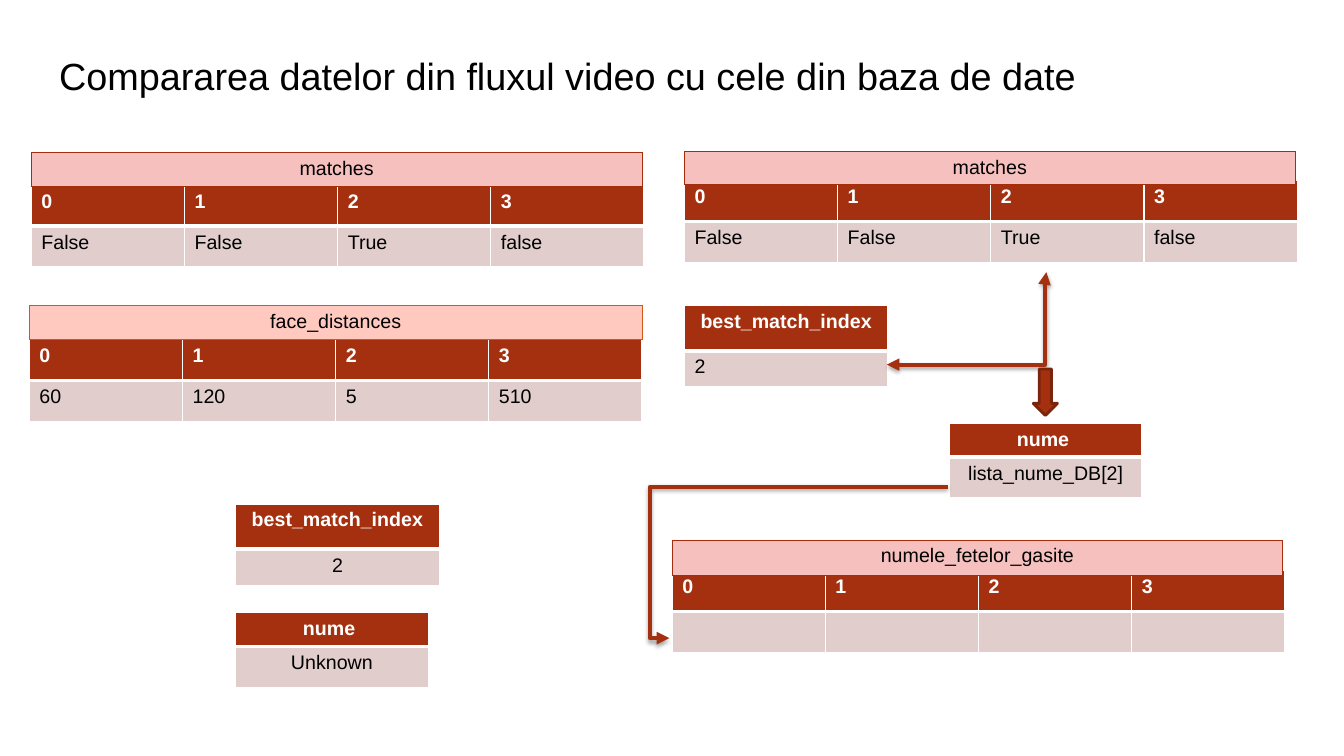
from dataclasses import dataclass

from lxml import etree
from pptx import Presentation
from pptx import util as u
from pptx.dml.color import RGBColor
from pptx.enum import shapes, text
from pptx.oxml import parse_xml
from pptx.oxml.ns import nsdecls, qn


@dataclass(frozen=True)
class Theme:
    font: str = "Arial"
    title_size: int = 27
    body_size: int = 14
    black: str = "000000"
    white: str = "FFFFFF"
    accent: str = "A5300F"
    accent_dark: str = "7A240B"
    body_fill: str = "E1CDCC"
    rose: str = "F6C0BE"
    rose_line: str = "A52D0B"
    peach: str = "FFC9BF"
    peach_line: str = "D55511"


def write(frame, content, *, font, size, color, bold=False, align=text.PP_ALIGN.LEFT, spacing=None):
    paragraph = frame.paragraphs[0]
    paragraph.alignment = align
    if spacing:
        paragraph.line_spacing = spacing
    run = paragraph.add_run()
    run.text = content
    run.font.name = font
    run.font.size = u.Pt(size)
    run.font.bold = bold
    run.font.color.rgb = RGBColor.from_string(color)


def cm(*lengths):
    return [u.Cm(length) for length in lengths]


class SlideBuilder:
    def __init__(self, slide, theme):
        self.slide = slide
        self.theme = theme

    def title(self, content, left, top, width, height):
        shape = self.slide.shapes.add_textbox(*cm(left, top, width, height))
        frame = shape.text_frame
        frame.word_wrap = True
        frame.vertical_anchor = text.MSO_ANCHOR.MIDDLE
        write(frame, content, font=self.theme.font, size=self.theme.title_size,
              color=self.theme.black, spacing=0.9)

    def borders(self, cell, color, widths):
        properties = cell._tc.get_or_add_tcPr()
        for index, (side, width) in enumerate(zip("LRTB", widths)):
            properties.insert(index, parse_xml(
                f'<a:ln{side} {nsdecls("a")} w="{u.Pt(width)}"><a:solidFill>'
                f'<a:srgbClr val="{color}"/></a:solidFill></a:ln{side}>'))

    def empty_table(self, left, top, column_width, columns, heights):
        shape = self.slide.shapes.add_table(
            len(heights), columns, *cm(left, top, column_width * columns, sum(heights)))
        table = shape.table
        table.first_row = table.horz_banding = False
        for column in table.columns:
            column.width = u.Cm(column_width)
        for row, height in zip(table.rows, heights):
            row.height = u.Cm(height)
        return table

    def cell(self, cell, content, fill, color, line, widths, bold=False, align=text.PP_ALIGN.LEFT):
        cell.fill.solid()
        cell.fill.fore_color.rgb = RGBColor.from_string(fill)
        self.borders(cell, line, widths)
        if content:
            write(cell.text_frame, content, font=self.theme.font, size=self.theme.body_size,
                  color=color, bold=bold, align=align)

    def table(self, headers, values, left, top, column_width=3.86, heights=(1.03, 1.03),
              header_align=text.PP_ALIGN.LEFT, value_align=text.PP_ALIGN.LEFT):
        theme = self.theme
        table = self.empty_table(left, top, column_width, len(headers), heights)
        for index, (header, value) in enumerate(zip(headers, values)):
            self.cell(table.cell(0, index), header, theme.accent, theme.white, theme.white,
                      (1, 1, 1, 3), bold=True, align=header_align)
            self.cell(table.cell(1, index), value, theme.body_fill, theme.black, theme.white,
                      (1, 1, 3, 1), align=value_align)

    def caption(self, content, left, top, width=15.39, height=0.84, fill=None, line=None):
        theme = self.theme
        table = self.empty_table(left, top, width, 1, [height])
        self.cell(table.cell(0, 0), content, fill or theme.rose, theme.black,
                  line or theme.rose_line, (0.75,) * 4, align=text.PP_ALIGN.CENTER)

    def elbow(self, start, end, bend, both_ends=False):
        connector = self.slide.shapes.add_connector(
            shapes.MSO_CONNECTOR.ELBOW, *cm(*start, *end))
        connector.line.color.rgb = RGBColor.from_string(self.theme.accent)
        connector.line.width = u.Pt(3)
        properties = connector._element.spPr
        guides = properties.find(qn("a:prstGeom")).get_or_add_avLst()
        etree.SubElement(guides, qn("a:gd"), name="adj1", fmla=f"val {round(bend * 100000)}")
        line = connector.line._get_or_add_ln()
        for tag in ["a:headEnd", "a:tailEnd"] if both_ends else ["a:tailEnd"]:
            etree.SubElement(line, qn(tag), type="triangle")
        properties.append(parse_xml(
            f'<a:effectLst {nsdecls("a")}><a:outerShdw blurRad="{u.Pt(3.1)}" '
            f'dist="{u.Pt(1.8)}" dir="5400000" rotWithShape="0"><a:srgbClr '
            f'val="{self.theme.black}"><a:alpha val="35000"/></a:srgbClr>'
            '</a:outerShdw></a:effectLst>'))

    def down_arrow(self, left, top, width, height):
        shape = self.slide.shapes.add_shape(
            shapes.MSO_SHAPE.DOWN_ARROW, *cm(left, top, width, height))
        shape.shadow.inherit = False
        shape.fill.solid()
        shape.fill.fore_color.rgb = RGBColor.from_string(self.theme.accent)
        shape.line.color.rgb = RGBColor.from_string(self.theme.accent_dark)
        shape.line.width = u.Pt(2)


def main():
    presentation = Presentation()
    presentation.slide_width, presentation.slide_height = cm(33.87, 19.05)
    slide = presentation.slides.add_slide(presentation.slide_layouts[6])
    theme = Theme()
    builder = SlideBuilder(slide, theme)
    center = text.PP_ALIGN.CENTER
    indexes = ["0", "1", "2", "3"]
    matches = ["False", "False", "True", "false"]
    best_match = {"column_width": 5.13, "heights": (1.14, 0.91), "header_align": center}
    name = {"column_width": 4.85, "heights": (0.85, 1.03),
            "header_align": center, "value_align": center}

    builder.title("Compararea datelor din fluxul video cu cele din baza de date",
                  1.24, 1.17, 26.34, 1.63)

    builder.table(indexes, matches, 0.79, 4.67)
    builder.caption("matches", 0.79, 3.84)
    builder.table(indexes, ["60", "120", "5", "510"], 0.74, 8.56)
    builder.caption("face_distances", 0.74, 7.7, width=15.44,
                    fill=theme.peach, line=theme.peach_line)
    builder.table(["best_match_index"], ["2"], 5.94, 12.7, value_align=center, **best_match)
    builder.table(["nume "], ["Unknown"], 5.94, 15.44, **name)

    builder.table(indexes, matches, 17.25, 4.55)
    builder.caption("matches", 17.25, 3.81)
    builder.table(["best_match_index"], ["2"], 17.25, 7.7, **best_match)
    builder.table(["nume "], ["lista_nume_DB[2]"], 23.93, 10.67, **name)
    builder.table(indexes, [""] * 4, 16.94, 14.38)
    builder.caption("numele_fetelor_gasite", 16.94, 13.61, height=0.89)

    builder.elbow((22.35, 9.19), (26.37, 6.86), 0.99, both_ends=True)
    builder.down_arrow(26.04, 9.3, 0.61, 1.17)
    builder.elbow((23.88, 12.27), (16.87, 16.08), 1.07)

    presentation.save("out.pptx")


if __name__ == "__main__":
    main()
